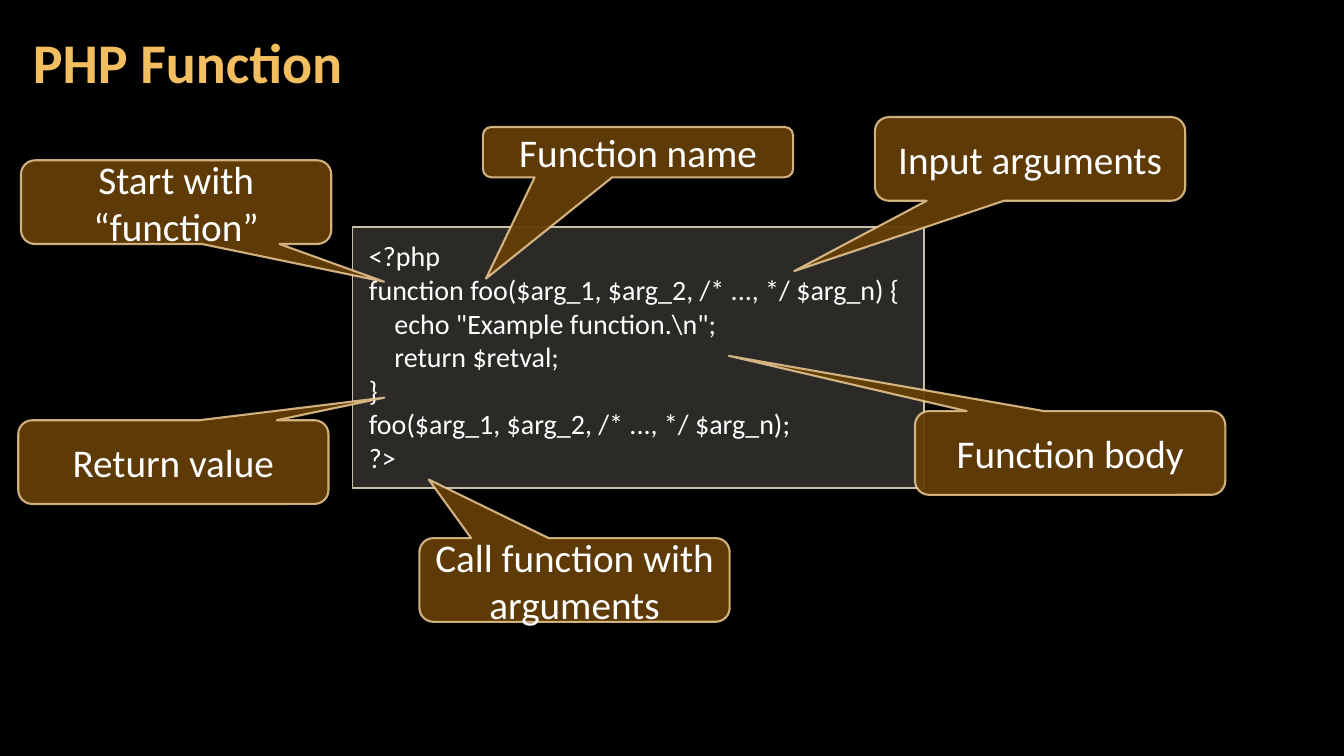
from dataclasses import dataclass

from lxml import etree
from pptx import Presentation
from pptx import util as u
from pptx.dml.color import RGBColor
from pptx.enum import shapes, text
from pptx.oxml import ns


@dataclass(frozen=True)
class Theme:
    font: str = "Calibri"
    background: str = "000000"
    title: str = "F3BE60"
    body: str = "FFFFFF"
    code_fill: str = "D9D5C7"
    code_line: str = "C7BFAC"
    callout_fill: str = "643F07"
    callout_line: str = "F8D49E"
    title_size: int = 40
    code_size: int = 20
    callout_size: int = 28


THEME = Theme()
CALLOUT_WIDTH = 7.82
CALLOUT_HEIGHT = 2.11
CORNER = 0.167

CODE = [
    ("<?php", 0),
    ("function foo($arg_1, $arg_2, /* ..., */ $arg_n) {", 0),
    ('echo "Example function.\\n";', 0.64),
    ("return $retval;", 0.64),
    ("}", 0),
    ("foo($arg_1, $arg_2, /* ..., */ $arg_n);", 0),
    ("?>", 0),
]

CALLOUTS = [
    ("Start with “function”", 0.53, 4.04, CALLOUT_HEIGHT, 0.67, 0.95),
    ("Function name", 12.17, 3.2, 1.27, -0.49, 2.51),
    ("Input arguments", 22.05, 2.95, CALLOUT_HEIGHT, -0.76, 1.34),
    ("Function body", 23.06, 10.36, CALLOUT_HEIGHT, -1.1, -1.16),
    ("Return value", 0.46, 10.59, CALLOUT_HEIGHT, 0.68, -0.77),
    ("Call function with arguments", 10.57, 13.56, CALLOUT_HEIGHT, -0.47, -1.2),
]


def set_alpha(color_format, percent):
    color = color_format._xFill.find(ns.qn("a:srgbClr"))
    etree.SubElement(color, ns.qn("a:alpha")).set("val", str(percent * 1000))


def write(paragraph, words, *, size, color, bold=False,
          align=text.PP_ALIGN.LEFT, spacing=1.0, indent=0):
    paragraph.alignment = align
    paragraph.line_spacing = spacing
    if indent:
        paragraph._p.get_or_add_pPr().set("marL", str(u.Cm(indent)))
    run = paragraph.add_run()
    run.text = words
    run.font.name = THEME.font
    run.font.size = u.Pt(size)
    run.font.bold = bold
    run.font.color.rgb = RGBColor.from_string(color)


def set_frame(frame, *, horizontal, vertical, anchor,
              auto_size=text.MSO_AUTO_SIZE.NONE):
    frame.word_wrap = True
    frame.auto_size = auto_size
    frame.vertical_anchor = anchor
    frame.margin_left = frame.margin_right = u.Cm(horizontal)
    frame.margin_top = frame.margin_bottom = u.Cm(vertical)


def add_panel(slide, kind, box, *, fill, fill_alpha, line, line_width,
              line_alpha=100):
    panel = slide.shapes.add_shape(kind, *(u.Cm(length) for length in box))
    panel.shadow.inherit = False
    panel.fill.solid()
    panel.fill.fore_color.rgb = RGBColor.from_string(fill)
    set_alpha(panel.fill.fore_color, fill_alpha)
    panel.line.width = u.Pt(line_width)
    panel.line.color.rgb = RGBColor.from_string(line)
    if line_alpha < 100:
        set_alpha(panel.line.color, line_alpha)
    return panel


def add_title(slide, words):
    title = slide.shapes.title
    title.left, title.top = u.Cm(0.53), u.Cm(0.1)
    title.width, title.height = u.Cm(26.59), u.Cm(3.07)
    set_frame(title.text_frame, horizontal=0.3, vertical=0.1,
              anchor=text.MSO_ANCHOR.MIDDLE)
    write(title.text_frame.paragraphs[0], words, size=THEME.title_size,
          color=THEME.title, bold=True, spacing=0.9)


def add_code(slide, lines):
    code = add_panel(slide, shapes.MSO_SHAPE.RECTANGLE, (8.89, 5.72, 14.4, 6.58),
                     fill=THEME.code_fill, fill_alpha=20,
                     line=THEME.code_line, line_width=1)
    frame = code.text_frame
    set_frame(frame, horizontal=0.41, vertical=0.3, anchor=text.MSO_ANCHOR.TOP,
              auto_size=text.MSO_AUTO_SIZE.SHAPE_TO_FIT_TEXT)
    for number, (words, indent) in enumerate(lines):
        paragraph = frame.add_paragraph() if number else frame.paragraphs[0]
        write(paragraph, words, size=THEME.code_size, color=THEME.body,
              indent=indent)


def add_callout(slide, words, left, top, height, tip_x, tip_y):
    callout = add_panel(slide, shapes.MSO_SHAPE.ROUNDED_RECTANGULAR_CALLOUT,
                        (left, top, CALLOUT_WIDTH, height),
                        fill=THEME.callout_fill, fill_alpha=95,
                        line=THEME.callout_line, line_width=1.5, line_alpha=80)
    for index, value in enumerate((tip_x, tip_y, CORNER)):
        callout.adjustments[index] = value
    set_frame(callout.text_frame, horizontal=0.25, vertical=0.13,
              anchor=text.MSO_ANCHOR.MIDDLE)
    write(callout.text_frame.paragraphs[0], words, size=THEME.callout_size,
          color=THEME.body, align=text.PP_ALIGN.CENTER)


def main():
    deck = Presentation()
    deck.slide_width, deck.slide_height = u.Cm(33.87), u.Cm(19.05)
    slide = deck.slides.add_slide(deck.slide_layouts.get_by_name("Title Only"))
    slide.background.fill.solid()
    slide.background.fill.fore_color.rgb = RGBColor.from_string(THEME.background)
    add_title(slide, "PHP Function")
    add_code(slide, CODE)
    for callout in CALLOUTS:
        add_callout(slide, *callout)
    deck.save("out.pptx")


if __name__ == "__main__":
    main()
